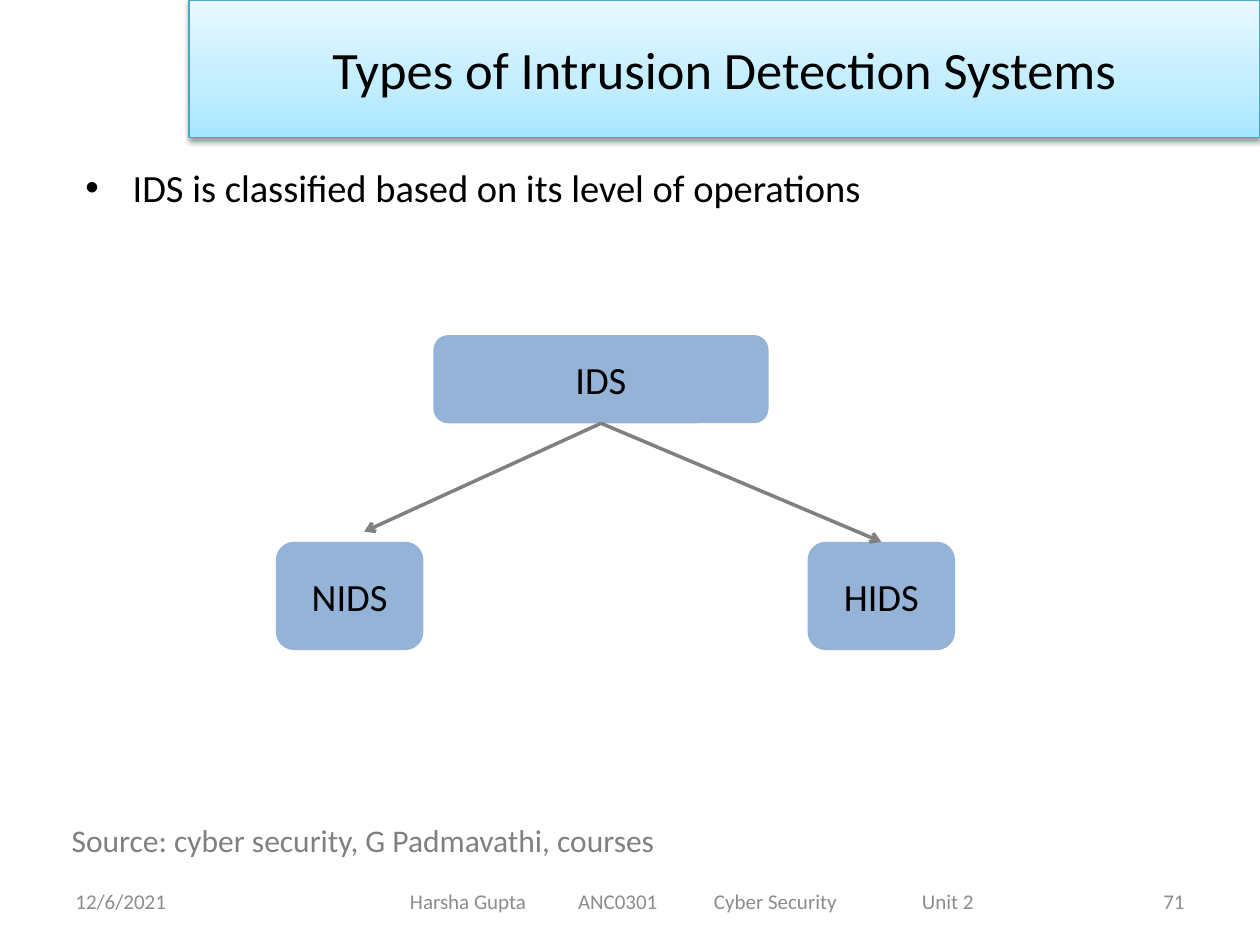
import copy
import lxml.etree
import pptx
import pptx.dml.color
import pptx.enum.shapes
import pptx.enum.text
import pptx.oxml
import pptx.oxml.ns
import pptx.util

Pt = pptx.util.Pt
RGB = pptx.dml.color.RGBColor
Kind = pptx.enum.shapes.MSO_SHAPE
Align = pptx.enum.text.PP_ALIGN
Anchor = pptx.enum.text.MSO_ANCHOR
qn = pptx.oxml.ns.qn

BLACK = RGB(0x00, 0x00, 0x00)
GRAY = RGB(0x80, 0x80, 0x80)
PALE = RGB(0x8C, 0x8C, 0x8C)
BLUE = RGB(0x95, 0xB3, 0xD7)
TEAL = RGB(0x46, 0xAA, 0xC5)
SKY = [(0, RGB(0xA7, 0xE6, 0xFF)), (0.35, RGB(0xC1, 0xED, 0xFF)),
       (1, RGB(0xE7, 0xF8, 0xFF))]


def write(shape, text, size, color, align, anchor=Anchor.MIDDLE):
    frame = shape.text_frame
    frame.word_wrap = True
    frame.vertical_anchor = anchor
    para = frame.paragraphs[0]
    para.alignment = align
    run = para.add_run()
    run.text = text
    run.font.name = "Calibri"
    run.font.size = Pt(size)
    run.font.color.rgb = color
    return para


def sub(node, tag, **attrs):
    return lxml.etree.SubElement(node, qn(tag), attrs)


deck = pptx.Presentation()
deck.slide_width, deck.slide_height = Pt(720), Pt(540)
slide = deck.slides.add_slide(deck.slide_layouts[6])
shapes = slide.shapes

# Title banner with gradient and soft shadow
title = shapes.add_shape(Kind.RECTANGLE, Pt(108), 0, Pt(612), Pt(78.5))
title.fill.gradient()
title.fill.gradient_angle = 90
stops = title.element.spPr.find(qn("a:gradFill")).find(qn("a:gsLst"))
stops.insert(1, copy.deepcopy(stops[0]))
for stop, (place, color) in zip(title.fill.gradient_stops, SKY):
    stop.position = place
    stop.color.rgb = color
title.line.color.rgb = TEAL
title.line.width = Pt(0.75)
title.shadow.inherit = False
glow = sub(title.element.spPr.find(qn("a:effectLst")), "a:outerShdw",
           blurRad=str(Pt(3.1)), dist=str(Pt(1.6)), dir="5400000", rotWithShape="0")
sub(sub(glow, "a:srgbClr", val="000000"), "a:alpha", val="38000")
write(title, "Types of Intrusion Detection Systems", 30, BLACK, Align.CENTER)

# Bullet text
body = shapes.add_textbox(Pt(41.76), Pt(90), Pt(648), Pt(356.4))
para = write(body, "IDS is classified based on its level of operations",
             22, BLACK, Align.JUSTIFY, Anchor.TOP)
para.space_before, para.space_after = Pt(4.4), Pt(12)
props = para._p.get_or_add_pPr()
props.set("marL", str(Pt(27)))
props.set("indent", str(Pt(-27)))
sub(props, "a:buFont", typeface="Arial")
sub(props, "a:buChar", char="•")

# Tree boxes
boxes = {}
for name, left, top, width, height in [("IDS", 247.7, 191.5, 191.5, 50.4),
                                       ("NIDS", 157.7, 309.6, 84.24, 61.9),
                                       ("HIDS", 461.5, 309.6, 84.24, 61.9)]:
    box = shapes.add_shape(Kind.FLOWCHART_ALTERNATE_PROCESS,
                           Pt(left), Pt(top), Pt(width), Pt(height))
    box.fill.solid()
    box.fill.fore_color.rgb = BLUE
    box.line.fill.background()
    box.shadow.inherit = False
    write(box, name, 22, BLACK, Align.CENTER)
    boxes[name] = box

# Arrows from the root; the left one stops short of its box
for goal, x, y in [(None, 208.1, 303.8), (boxes["HIDS"], 503.6, 309.6)]:
    link = shapes.add_connector(pptx.enum.shapes.MSO_CONNECTOR.STRAIGHT,
                                Pt(343.4), Pt(241.9), Pt(x), Pt(y))
    link.begin_connect(boxes["IDS"], 2)
    if goal is not None:
        link.end_connect(goal, 0)
    link.line.color.rgb = GRAY
    link.line.width = Pt(2)
    sub(link.line._get_or_add_ln(), "a:tailEnd", type="arrow")
    sub(link.element.spPr, "a:effectLst")

# Source note
note = shapes.add_textbox(Pt(33.84), Pt(465.8), Pt(355), Pt(28.8))
write(note, "Source: cyber security, G Padmavathi, courses", 18, GRAY,
      Align.LEFT, Anchor.TOP)
note.text_frame.word_wrap = False

# Footer: date, course line, page number
course = "Harsha Gupta\tANC0301\tCyber Security\tUnit 2"
for text, left, width, align in [("12/6/2021", 36, 168, Align.LEFT),
                                 (course, 198, 396, Align.LEFT),
                                 ("71", 516, 168, Align.RIGHT)]:
    foot = shapes.add_textbox(Pt(left), Pt(500.5), Pt(width), Pt(28.8))
    para = write(foot, text, 12, PALE, align)
    if text == course:
        foot.text_frame.margin_left = Pt(36.3)
        tabs = sub(para._p.get_or_add_pPr(), "a:tabLst")
        for spot in (96, 173.7, 292.5):
            sub(tabs, "a:tab", pos=str(Pt(spot)), algn="l")

deck.save("out.pptx")
